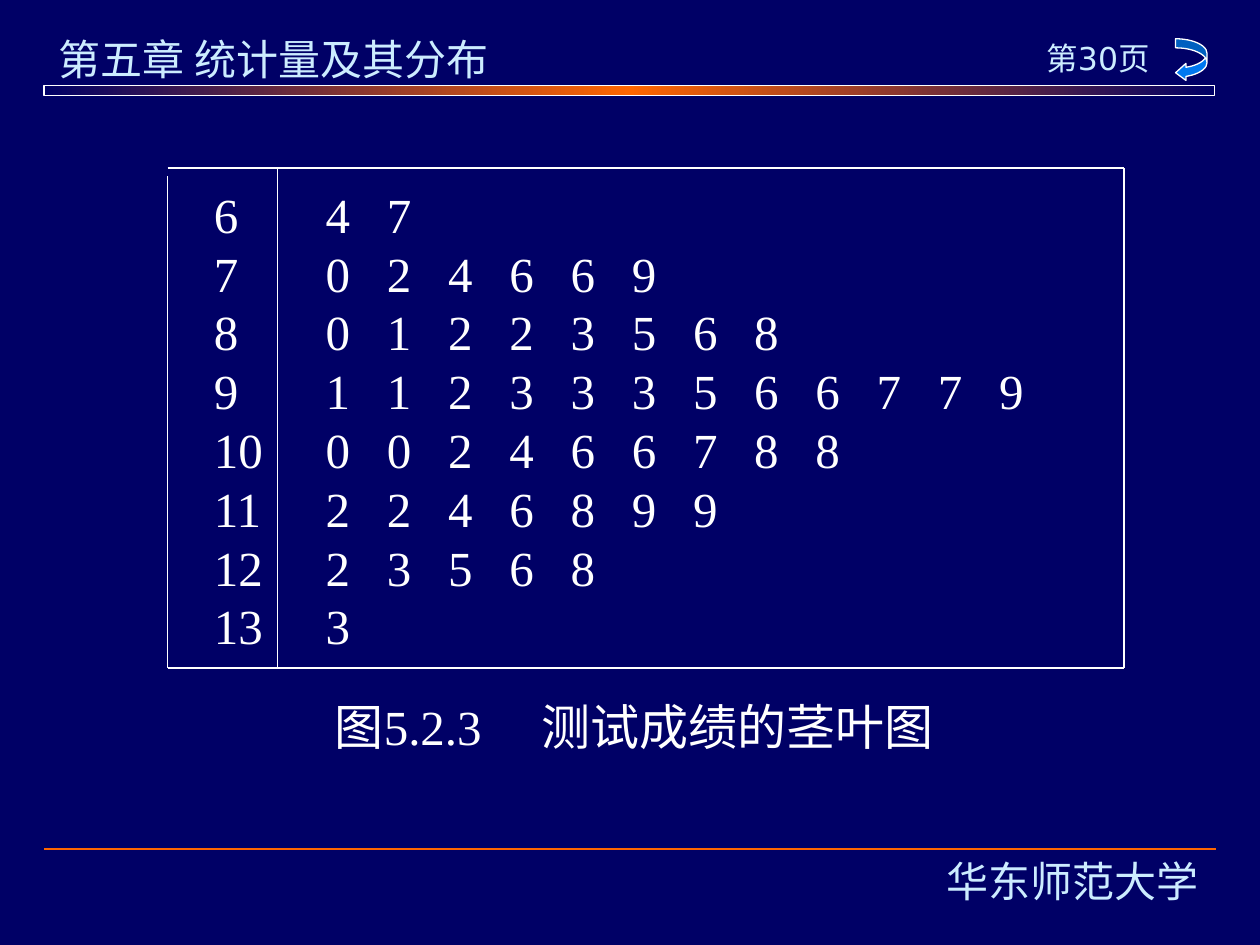
from copy import deepcopy
from lxml import etree
from pptx import Presentation
from pptx.dml.color import RGBColor
from pptx.enum import shapes, text
from pptx.oxml.ns import qn
from pptx.util import Inches, Pt

HUES = {"navy": "000066", "flame": "FF6600", "white": "FFFFFF",
        "ice": "CCECFF", "blue": "0078F0"}
INK = {name: RGBColor.from_string(code) for name, code in HUES.items()}
SERIF = "Times New Roman"

deck = Presentation()
deck.slide_width, deck.slide_height = Inches(10), Inches(7.5)
slide = deck.slides.add_slide(deck.slide_layouts[6])
slide.background.fill.solid()
slide.background.fill.fore_color.rgb = INK["navy"]

# Grid of 100 columns by 100 rows
COL, ROW = deck.slide_width / 100, deck.slide_height / 100


def place(x, y, w, h):
    return [round(n) for n in (x * COL, y * ROW, w * COL, h * ROW)]


def write(words, box, size=28, face=SERIF, hue="white", align="LEFT",
          anchor="TOP", start=None, hang=0, gap=0, lead=None):
    """Write one paragraph a line; start numbers them, gap widens spaces."""
    frame = slide.shapes.add_textbox(*place(*box)).text_frame
    frame.word_wrap = True
    frame.vertical_anchor = getattr(text.MSO_ANCHOR, anchor)
    for i, row in enumerate(words.split("\n")):
        para = frame.paragraphs[0] if i == 0 else frame.add_paragraph()
        para.alignment = getattr(text.PP_ALIGN, align)
        if lead:
            para.line_spacing = Pt(lead)
        if start:
            props = para._p.get_or_add_pPr()
            props.set("marL", str(round(hang * COL)))
            props.set("indent", str(-round(hang * COL)))
            etree.SubElement(props, qn("a:buAutoNum"),
                             type="arabicPlain", startAt=str(start))
        for part in (row if gap else [row]):
            run = para.add_run()
            run.text = part
            run.font.size, run.font.name = Pt(size), face
            run.font.color.rgb = INK[hue]
            if part == " ":
                run._r.get_or_add_rPr().set("spc", str(gap * 100))


# Header and footer text
write("第五章 统计量及其分布", (3.7, 2.93, 40, 6.67), size=24,
      face="Comic Neue", hue="ice")
write("第30页", (81, 3.47, 12.3, 10.1), size=18, face="DejaVu Sans",
      hue="ice", align="CENTER")
write("华东师范大学", (72.7, 89.87, 24.9, 12 - 2), size=24, face="Lato",
      hue="ice", align="CENTER")

# Gradient bar under the header
bar = slide.shapes.add_shape(shapes.MSO_SHAPE.RECTANGLE,
                             *place(3.5, 9.07, 92.9, 1.07))
bar.fill.gradient()
bar.fill.gradient_angle = 0
stops = bar.fill._fill._gradFill.gsLst
stops.insert(1, deepcopy(stops[0]))
for stop, spot, hue in zip(bar.fill.gradient_stops, (0, 0.5, 1),
                           ("navy", "flame", "navy")):
    stop.position, stop.color.rgb = spot, INK[hue]

# Return arrow
arrow = slide.shapes.add_shape(shapes.MSO_SHAPE.CURVED_LEFT_ARROW,
                               *place(93.3, 4.1, 2.5, 4.5))
for i, share in enumerate((0.29, 0.54, 0.33)):
    arrow.adjustments[i] = share
arrow.fill.solid()
arrow.fill.fore_color.rgb = INK["blue"]
for shape in (bar, arrow):
    shape.shadow.inherit = False
    shape.line.color.rgb, shape.line.width = INK["white"], Pt(0.75)

# Footer rule, then the frame and stem divider
left, stem, right, top, foot = 13.3, 22, 89.2, 17.78, 70.7
for x1, y1, x2, y2, hue, width in (
        (3.5, 89.87, 96.5, 89.87, "flame", 1),
        (stem, top, stem, foot, "white", 0.75),
        (left, top, right, top, "white", 0.75),
        (left, top + 0.9, left, foot, "white", 0.75),
        (right, top, right, foot, "white", 0.75),
        (left, foot, right, foot, "white", 0.75)):
    ends = place(x1, y1, x2, y2)
    rule = slide.shapes.add_connector(shapes.MSO_CONNECTOR.STRAIGHT, *ends)
    rule.line.color.rgb, rule.line.width = INK[hue], Pt(width)
    etree.SubElement(rule._element.spPr, qn("a:effectLst"))

# Stems 6 to 13 are the numbering, leaves are the text
leaves = ["47", "024669", "01223568", "112333566779",
          "002466788", "2246899", "23568", "3"]
write("\n".join(" ".join(row) for row in leaves), (16, 18.8, 70, 51.2),
      anchor="MIDDLE", start=6, hang=8.87, gap=14, lead=33.6)

# Caption
write("图5.2.3　 测试成绩的茎叶图", (25.6, 73.07, 57.3, 7.6), anchor="MIDDLE")

deck.save("out.pptx")
